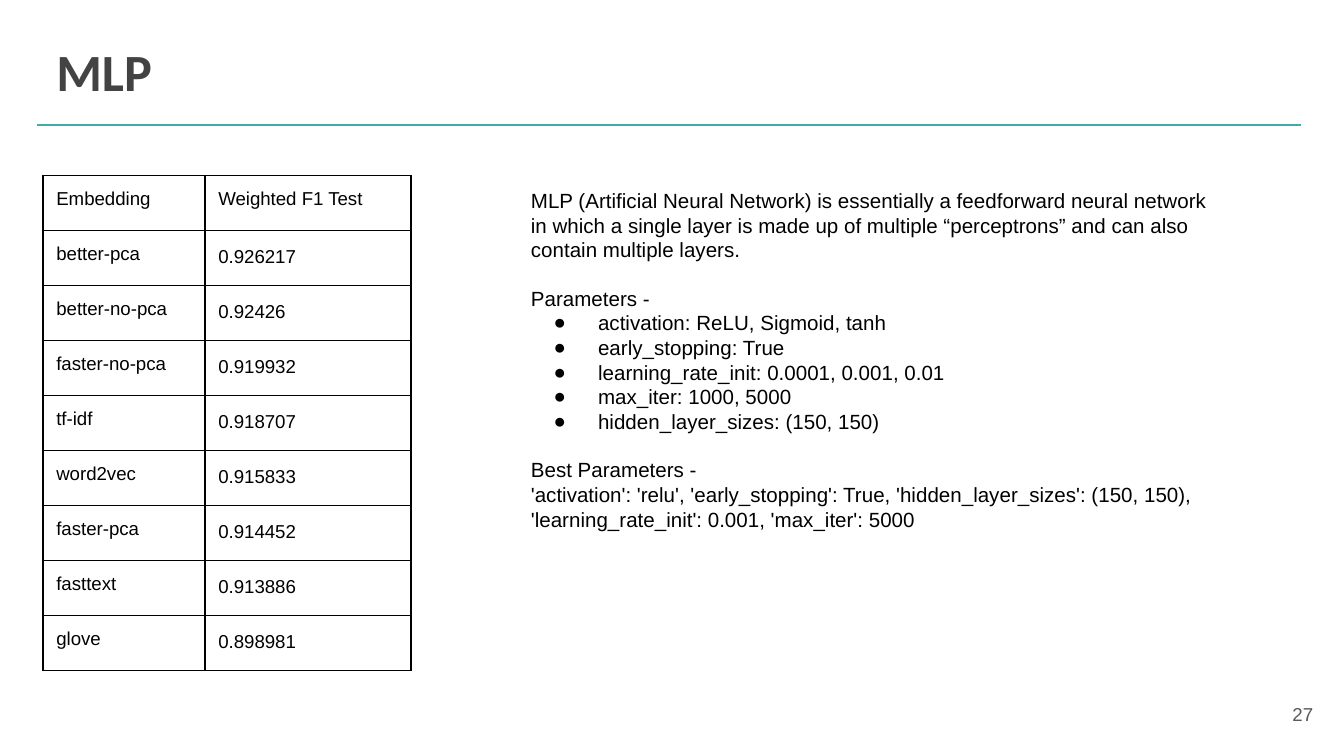
from dataclasses import dataclass

import pptx
import pptx.dml.color
import pptx.enum.shapes
import pptx.enum.text
import pptx.oxml
import pptx.oxml.ns
import pptx.util
from lxml import etree

Pt = pptx.util.Pt
qn = pptx.oxml.ns.qn
Anchor = pptx.enum.text.MSO_ANCHOR
Align = pptx.enum.text.PP_ALIGN


@dataclass(frozen=True)
class Style:
    size: float
    color: str
    font: str = "Arial"
    bold: bool = False


@dataclass(frozen=True)
class Theme:
    title: Style = Style(28, "434343", "Calibri", True)
    body: Style = Style(11, "000000")
    cell: Style = Style(10, "000000")
    number: Style = Style(10, "595959")
    rule: str = "3EADA7"
    border: str = "000000"
    line_width: float = 0.75
    inset: float = 7.2


@dataclass(frozen=True)
class Box:
    left: float
    top: float
    width: float
    height: float


@dataclass(frozen=True)
class Score:
    embedding: str
    f1: str
    spacing: float = 1.15


@dataclass(frozen=True)
class Line:
    text: str
    bullet: bool = False
    before: float = 0


THEME = Theme()
SECTION_GAP = 12.65

SCORES = [
    Score("Embedding", "Weighted F1 Test", 1),
    Score("better-pca", "0.926217"),
    Score("better-no-pca", "0.92426"),
    Score("faster-no-pca", "0.919932"),
    Score("tf-idf", "0.918707"),
    Score("word2vec", "0.915833"),
    Score("faster-pca", "0.914452"),
    Score("fasttext", "0.913886"),
    Score("glove", "0.898981"),
]

LINES = [
    Line("MLP (Artificial Neural Network) is essentially a feedforward neural network "
         "in which a single layer is made up of multiple “perceptrons” and can also "
         "contain multiple layers."),
    Line("Parameters -", before=SECTION_GAP),
    Line("activation: ReLU, Sigmoid, tanh", bullet=True),
    Line("early_stopping: True", bullet=True),
    Line("learning_rate_init: 0.0001, 0.001, 0.01", bullet=True),
    Line("max_iter: 1000, 5000", bullet=True),
    Line("hidden_layer_sizes: (150, 150)", bullet=True),
    Line("Best Parameters -", before=SECTION_GAP),
    Line("'activation': 'relu', 'early_stopping': True, 'hidden_layer_sizes': (150, 150), "
         "'learning_rate_init': 0.001, 'max_iter': 5000"),
]


def rgb(color: str) -> pptx.dml.color.RGBColor:
    return pptx.dml.color.RGBColor.from_string(color)


def add_run(p, text: str, style: Style) -> None:
    r = p.add_run()
    r.text = text
    r.font.name = style.font
    r.font.size = Pt(style.size)
    r.font.bold = style.bold
    r.font.color.rgb = rgb(style.color)


def set_insets(target) -> None:
    target.margin_left = target.margin_right = Pt(THEME.inset)
    target.margin_top = target.margin_bottom = Pt(THEME.inset)


def place(sp, box: Box, anchor=Anchor.TOP):
    sp.left, sp.top = Pt(box.left), Pt(box.top)
    sp.width, sp.height = Pt(box.width), Pt(box.height)
    tf = sp.text_frame
    tf.word_wrap = True
    tf.auto_size = pptx.enum.text.MSO_AUTO_SIZE.NONE
    tf.vertical_anchor = anchor
    set_insets(tf)
    return tf


def add_rule(s, left: float, right: float, y: float) -> None:
    line = s.shapes.add_connector(
        pptx.enum.shapes.MSO_CONNECTOR.STRAIGHT, Pt(left), Pt(y), Pt(right), Pt(y))
    line.line.color.rgb = rgb(THEME.rule)
    line.line.width = Pt(THEME.line_width)
    etree.SubElement(line._element.spPr, qn("a:effectLst"))


def border_cell(cell) -> None:
    tc_pr = cell._tc.get_or_add_tcPr()
    for side in ("a:lnL", "a:lnR", "a:lnT", "a:lnB"):
        ln = etree.SubElement(tc_pr, qn(side), w=str(Pt(THEME.line_width)))
        fill = etree.SubElement(ln, qn("a:solidFill"))
        etree.SubElement(fill, qn("a:srgbClr"), val=THEME.border)


def add_scores(s, left: float, top: float, widths: list[float], row_height: float) -> None:
    table = s.shapes.add_table(
        len(SCORES), len(widths), Pt(left), Pt(top),
        Pt(sum(widths)), Pt(row_height * len(SCORES))).table
    table.first_row = table.horz_banding = False
    for column, width in zip(table.columns, widths):
        column.width = Pt(width)
    for row, score in zip(table.rows, SCORES):
        row.height = Pt(row_height)
        values = ((score.embedding, 1), (score.f1, score.spacing))
        for cell, (text, spacing) in zip(row.cells, values):
            set_insets(cell)
            border_cell(cell)
            cell.fill.background()
            p = cell.text_frame.paragraphs[0]
            p.line_spacing = float(spacing)
            add_run(p, text, THEME.cell)


def add_line(p, line: Line) -> None:
    p.space_before = Pt(line.before)
    p_pr = p._p.get_or_add_pPr()
    p_pr.set("marL", str(Pt(36 if line.bullet else 0)))
    p_pr.set("indent", str(Pt(-23.75 if line.bullet else 0)))
    if line.bullet:
        color = etree.SubElement(p_pr, qn("a:buClr"))
        etree.SubElement(color, qn("a:srgbClr"), val=THEME.body.color)
        etree.SubElement(p_pr, qn("a:buFont"), typeface=THEME.body.font)
        etree.SubElement(p_pr, qn("a:buChar"), char="●")
    else:
        etree.SubElement(p_pr, qn("a:buNone"))
    add_run(p, line.text, THEME.body)


def main() -> None:
    prs = pptx.Presentation()
    prs.slide_width, prs.slide_height = Pt(720), Pt(405)
    s = prs.slides.add_slide(prs.slide_layouts[1])

    add_rule(s, 19.8, 697, 67)

    tf = place(s.shapes.title, Box(23, 13.7, 671, 45.4))
    tf.paragraphs[0].alignment = Align.LEFT
    add_run(tf.paragraphs[0], "MLP", THEME.title)

    add_scores(s, 23, 94, [86.8, 110.4], 29.46)

    tf = place(s.placeholders[1], Box(277.2, 93.6, 384.5, 200.9))
    for i, line in enumerate(LINES):
        add_line(tf.add_paragraph() if i else tf.paragraphs[0], line)

    number = s.shapes.add_textbox(0, 0, 0, 0)
    tf = place(number, Box(667.4, 367.2, 43.2, 31), Anchor.MIDDLE)
    tf.paragraphs[0].alignment = Align.RIGHT
    add_run(tf.paragraphs[0], "27", THEME.number)

    prs.save("out.pptx")


if __name__ == "__main__":
    main()
